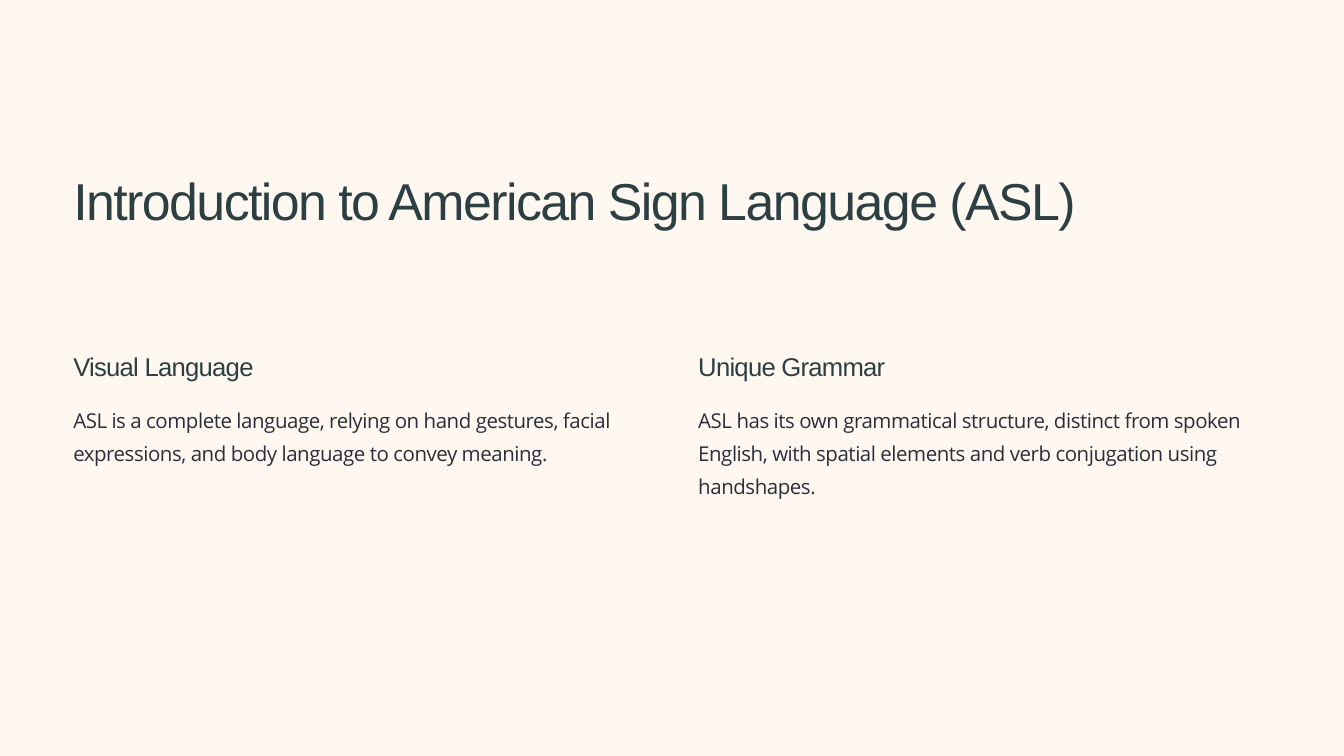
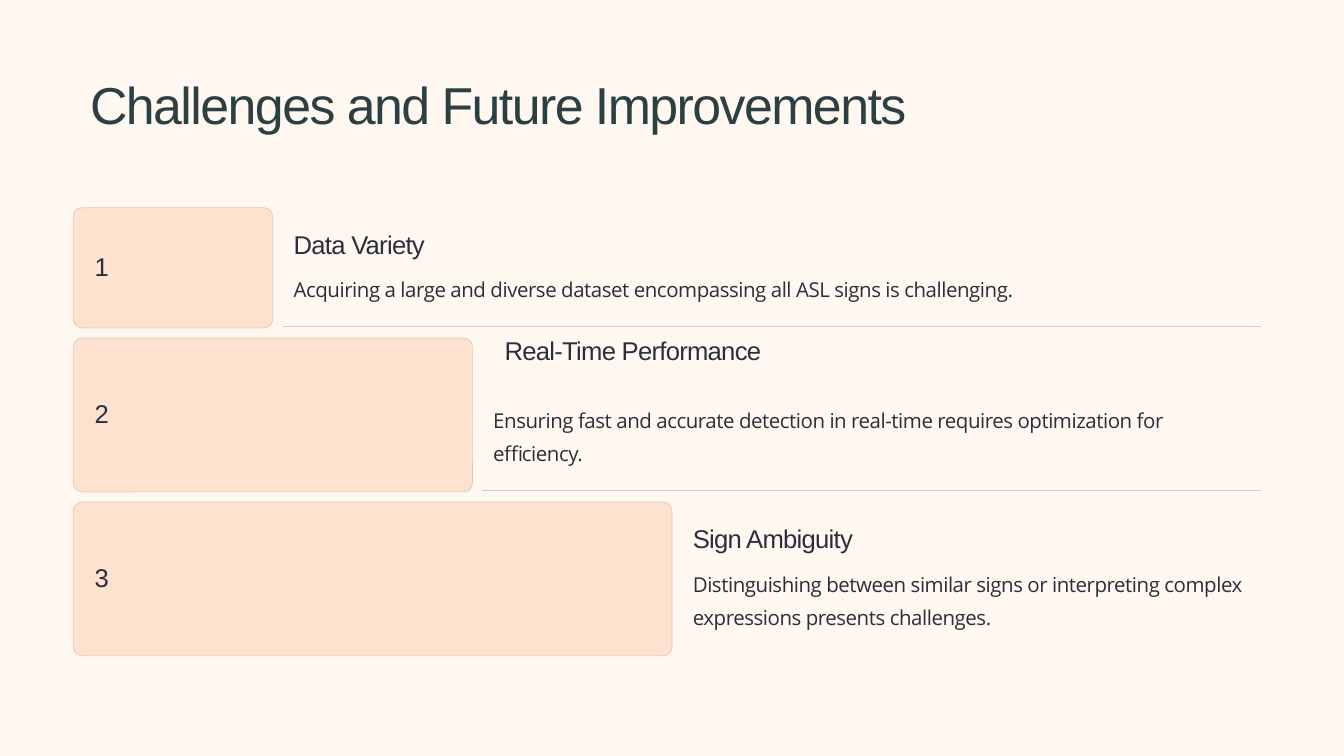
from pptx import Presentation
from pptx.dml.color import RGBColor
from pptx.enum.shapes import MSO_CONNECTOR, MSO_SHAPE
from pptx.enum.text import MSO_ANCHOR, MSO_AUTO_SIZE, PP_ALIGN
from pptx.oxml.ns import qn
from pptx.util import Inches, Pt

STRAIGHT = MSO_CONNECTOR.STRAIGHT
RECTANGLE, ROUNDED = MSO_SHAPE.RECTANGLE, MSO_SHAPE.ROUNDED_RECTANGLE
TOP = MSO_ANCHOR.TOP
NO_FIT = MSO_AUTO_SIZE.NONE
LEFT, CENTER = PP_ALIGN.LEFT, PP_ALIGN.CENTER

TITLE_ONLY, COMPARISON = 5, 4
WIDTH, HEIGHT = 20, 11.25
CREAM, PEACH, TAN = "FFF8F0", "FCE2CF", "E2C8B5"
GREEN, INK = "2C3F42", "2B2E3C"

TITLE = dict(size=55.6, font="Arial", color=GREEN, spacing=-1.67, leading=69.4)
HEADING = dict(size=27.5, font="Arial", color=INK, spacing=-0.8, leading=34.4)
NUMBER = dict(HEADING, leading=44.4, align=CENTER)
BODY = dict(size=21.9, font="Open Sans", color=INK, spacing=-0.5, leading=35.6)

MARGIN = 1.09
RIGHT_EDGE = 18.76


def rgb(value):
    return RGBColor.from_string(value)


def write(tf, text, size, font, color, spacing, leading, align=LEFT):
    tf.auto_size = NO_FIT
    tf.word_wrap = True
    tf.vertical_anchor = TOP
    tf.margin_left = tf.margin_top = tf.margin_right = tf.margin_bottom = 0
    p = tf.paragraphs[0]
    p.alignment = align
    p.line_spacing = Pt(leading)
    p.space_before = p.space_after = Pt(0)
    r = p.add_run()
    r.text = text
    r.font.size = Pt(size)
    r.font.name = font
    r.font.bold = False
    r.font.color.rgb = rgb(color)
    r.font._element.set("spc", str(round(spacing * 100)))
    return p


def remove_bullet(p):
    pPr = p._p.get_or_add_pPr()
    pPr.set("marL", "0")
    pPr.set("indent", "0")
    pPr.append(pPr.makeelement(qn("a:buNone"), {}))


def body_height(lines):
    return 0.07 + 0.5 * lines


class Deck:
    """Holds the presentation and draws on its current slide."""

    def __init__(self):
        self.prs = Presentation()
        self.prs.slide_width = Inches(WIDTH)
        self.prs.slide_height = Inches(HEIGHT)

    def new_slide(self, layout, title, x, y, w):
        self.s = self.prs.slides.add_slide(self.prs.slide_layouts[layout])
        for sp in list(self.s.placeholders):
            if sp.placeholder_format.idx >= 10:
                sp._element.getparent().remove(sp._element)
        self.backdrop()
        self.placeholder(0, title, x, y, w, 0.98, **TITLE)

    def backdrop(self):
        """Cover the slide in cream, behind the placeholders."""
        sp = self.shape(RECTANGLE, 0, 0, WIDTH, HEIGHT, CREAM)
        sp.line.fill.background()
        self.s.shapes._spTree.insert(2, sp._element)

    def placeholder(self, idx, text, x, y, w, h, **style):
        sp = next(sp for sp in self.s.placeholders
                  if sp.placeholder_format.idx == idx)
        sp.left, sp.top = Inches(x), Inches(y)
        sp.width, sp.height = Inches(w), Inches(h)
        remove_bullet(write(sp.text_frame, text, **style))

    def text(self, text, x, y, w, h, **style):
        sp = self.s.shapes.add_textbox(Inches(x), Inches(y), Inches(w), Inches(h))
        write(sp.text_frame, text, **style)

    def shape(self, kind, x, y, w, h, fill):
        sp = self.s.shapes.add_shape(kind, Inches(x), Inches(y),
                                     Inches(w), Inches(h))
        sp.shadow.inherit = False
        sp.fill.solid()
        sp.fill.fore_color.rgb = rgb(fill)
        return sp

    def card(self, x, y, w, h, radius=0.13):
        sp = self.shape(ROUNDED, x, y, w, h, PEACH)
        sp.adjustments[0] = radius / min(w, h)
        sp.line.color.rgb = rgb(TAN)
        sp.line.width = Pt(0.75)

    def divider(self, x, y):
        line = self.s.shapes.add_connector(STRAIGHT, Inches(x), Inches(y),
                                           Inches(RIGHT_EDGE), Inches(y))
        line.line.color.rgb = rgb(TAN)
        line.line.width = Pt(1.5)
        spPr = line._element.spPr
        spPr.append(spPr.makeelement(qn("a:effectLst"), {}))


def introduction(deck):
    deck.new_slide(COMPARISON, "Introduction to American Sign Language (ASL)",
                   MARGIN, 2.47, 15.71)
    columns = [
        ("Visual Language", 2,
         "ASL is a complete language, relying on hand gestures, facial "
         "expressions, and body language to convey meaning."),
        ("Unique Grammar", 3,
         "ASL has its own grammatical structure, distinct from spoken English, "
         "with spatial elements and verb conjugation using handshapes."),
    ]
    for i, (heading, lines, body) in enumerate(columns):
        x = MARGIN + 9.3 * i
        deck.placeholder(2 * i + 1, heading, x, 5.2, 3.88, 0.5,
                         **dict(HEADING, color=GREEN))
        deck.placeholder(2 * i + 2, body, x, 5.94, 8.54, body_height(lines), **BODY)


def challenges(deck):
    deck.new_slide(TITLE_ONLY, "Challenges and Future Improvements",
                   1.34, 1.04, 12.84)
    step, gap = 2.97, 0.15
    # heading, its shift from the usual place, body, body width, lines, card height
    rows = [
        ("Data Variety", (0, 0),
         "Acquiring a large and diverse dataset encompassing all ASL signs is "
         "challenging.", 10.93, 1, 1.79),
        ("Real-Time Performance", (0.17, -0.35),
         "Ensuring fast and accurate detection in real-time requires "
         "optimization for efficiency.", 11.27, 2, 2.29),
        ("Sign Ambiguity", (0, 0),
         "Distinguishing between similar signs or interpreting complex "
         "expressions presents challenges.", 8.29, 2, 2.29),
    ]
    y = 3.09
    for n, (heading, (dx, dy), body, width, lines, height) in enumerate(rows, 1):
        card_right = MARGIN + step * n
        x = card_right + 0.31
        deck.card(MARGIN, y, step * n, height)
        deck.text(str(n), 1.41, y + height / 2 - 0.41, 0.21, 0.71, **NUMBER)
        deck.text(heading, x + dx, y + 0.29 + dy, 3.88 + dx, 0.5, **HEADING)
        deck.text(body, x, y + 0.91, width, body_height(lines), **BODY)
        if n < len(rows):
            deck.divider(card_right + gap, y + height - 0.02)
        y += height + gap


def main():
    deck = Deck()
    introduction(deck)
    challenges(deck)
    deck.prs.save("out.pptx")


if __name__ == "__main__":
    main()
